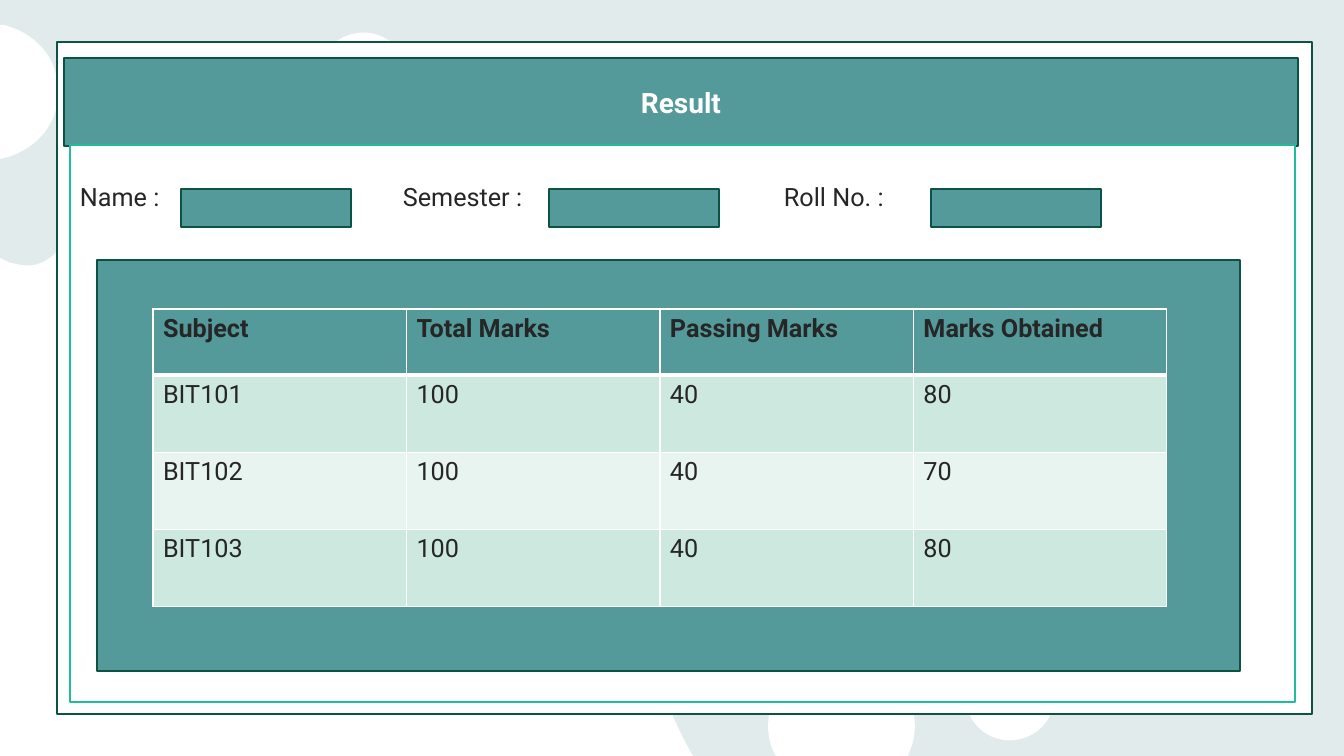
from lxml import etree
from pptx import Presentation
from pptx.dml.color import RGBColor
from pptx.enum.shapes import MSO_SHAPE
from pptx.enum.text import MSO_ANCHOR, PP_ALIGN
from pptx.oxml.ns import qn
from pptx.util import Emu, Pt

RECT = MSO_SHAPE.RECTANGLE
MIDDLE, TOP = MSO_ANCHOR.MIDDLE, MSO_ANCHOR.TOP
LEFT, CENTER = PP_ALIGN.LEFT, PP_ALIGN.CENTER

WHITE = RGBColor(0xFF, 0xFF, 0xFF)
MIST = RGBColor(0xE9, 0xF3, 0xF3)
VEIL = RGBColor(0xAE, 0xAE, 0xAE)
TEAL = RGBColor(0x54, 0x9A, 0x9A)
FOREST = RGBColor(0x0D, 0x53, 0x44)
MINT = RGBColor(0x1E, 0xBE, 0x9B)
INK = RGBColor(0x26, 0x26, 0x26)
BAND_DARK = RGBColor(0xCD, 0xE8, 0xDE)
BAND_LIGHT = RGBColor(0xE8, 0xF4, 0xEF)
FONT = "Roboto"

TITLE = "Result"
FIELDS = [("Name :", 80, 181), ("Semester :", 403, 549), ("Roll No. :", 784, 931)]
MARKS = [
    ("Subject", "Total Marks", "Passing Marks", "Marks Obtained"),
    ("BIT101", "100", "40", "80"),
    ("BIT102", "100", "40", "70"),
    ("BIT103", "100", "40", "80"),
]

SLIDE = (0, 0, 1344, 756)
FRAME = (57, 42, 1255, 672)
HEADER = (64, 58, 1234, 88)
BODY = (70, 145, 1225, 557)
MARKS_PANEL = (97, 260, 1143, 411)
MARKS_GRID = (153, 309, 1014, 298)
HEADING_HEIGHT = 66
FIELD_TOP, FIELD_WIDTH, FIELD_HEIGHT = 189, 170, 38
LABEL_TOP = 181
VEIL_OPACITY = 10

BLOBS = [
    [(0, 25), (4, 25), [(5, 25), (6, 26), (7, 26)], [(22, 30), (35, 39), (44, 50)],
     [(49, 56), (53, 63), (55, 71)], [(67, 107), (47, 145), (8, 157)], (0, 159)],
    [(0, 258), (8, 262), [(19, 265), (29, 267), (38, 264)],
     [(68, 255), (79, 211), (86, 179)], (671, 658),
     [(656, 690), (674, 720), (690, 751)], (693, 756), (0, 756)],
    [(842, 657), [(865, 657), (887, 667), (901, 685)],
     [(907, 692), (909, 698), (911, 705)], [(916, 718), (916, 732), (912, 745)],
     (908, 756), (776, 756), (772, 748), [(759, 712), (780, 672), (819, 661)],
     [(827, 658), (834, 657), (842, 657)]],
    [(1005, 658), [(1020, 657), (1035, 662), (1044, 673)],
     [(1049, 679), (1052, 687), (1053, 695)], [(1056, 717), (1039, 737), (1015, 740)],
     [(992, 743), (970, 727), (967, 705)], [(964, 681), (981, 661), (1005, 658)]],
    [(358, 33), [(373, 31), (388, 37), (397, 48)], [(403, 54), (405, 61), (406, 69)],
     [(409, 91), (392, 112), (368, 115)], [(344, 117), (323, 101), (320, 79)],
     [(317, 56), (334, 36), (358, 33)]],
]


def px(length):
    return Emu(round(length * 914400 / 100.8))


def box(area):
    return [px(length) for length in area]


def paint(shape, fill, line=None):
    shape.shadow.inherit = False
    shape.fill.solid()
    shape.fill.fore_color.rgb = fill
    if line is None:
        shape.line.fill.background()
    else:
        shape.line.color.rgb = line
        shape.line.width = Pt(1)


def add_panel(slide, area, fill, line=None):
    panel = slide.shapes.add_shape(RECT, *box(area))
    paint(panel, fill, line)
    return panel


def write(frame, text, size=18, color=INK, bold=False, align=LEFT, anchor=MIDDLE):
    frame.word_wrap = True
    frame.vertical_anchor = anchor
    paragraph = frame.paragraphs[0]
    paragraph.alignment = align
    run = paragraph.add_run()
    run.text = text
    run.font.name = FONT
    run.font.size = Pt(size)
    run.font.bold = bold
    run.font.color.rgb = color


def add_blobs(slide):
    builder = slide.shapes.build_freeform(*box(BLOBS[0][0]))
    bends = []
    for index, (start, *parts) in enumerate(BLOBS):
        if index:
            builder.move_to(*box(start))
        corners = []
        for part in parts:
            curved = isinstance(part, list)
            bends += [curved] * (3 if curved else 1)
            corners += part if curved else [part]
        builder.add_line_segments([box(corner) for corner in corners], close=True)
    blobs = builder.convert_to_shape()
    paint(blobs, WHITE)
    segments = list(blobs._element.iter(qn("a:lnTo")))
    curved = [segment for segment, bend in zip(segments, bends) if bend]
    for first, second, third in zip(curved[::3], curved[1::3], curved[2::3]):
        curve = etree.Element(qn("a:cubicBezTo"))
        first.addprevious(curve)
        for segment in (first, second, third):
            curve.append(segment[0])
            segment.getparent().remove(segment)


def add_veil(slide):
    veil = add_panel(slide, SLIDE, VEIL)
    color = veil._element.spPr.find(qn("a:solidFill"))[0]
    etree.SubElement(color, qn("a:alpha"), val=str(VEIL_OPACITY * 1000))


def place_header(slide, frame):
    header = slide.shapes.title
    header.left, header.top, header.width, header.height = box(HEADER)
    outline = etree.SubElement(header._element.spPr, qn("a:prstGeom"), prst="roundRect")
    etree.SubElement(outline, qn("a:avLst"))
    paint(header, TEAL, FOREST)
    write(header.text_frame, TITLE, size=20, color=WHITE, bold=True, align=CENTER)
    frame._element.addnext(header._element)


def add_fields(slide):
    body = add_panel(slide, BODY, WHITE, MINT)
    text_left = FIELDS[0][1]
    labels = body.text_frame
    labels.margin_left = px(text_left - BODY[0])
    labels.margin_top = px(LABEL_TOP - BODY[1])
    write(labels, "\t".join(label for label, _, _ in FIELDS), anchor=TOP)
    stops = etree.SubElement(labels.paragraphs[0]._p.get_or_add_pPr(), qn("a:tabLst"))
    for _, label_left, _ in FIELDS[1:]:
        etree.SubElement(stops, qn("a:tab"), pos=str(px(label_left - text_left)), algn="l")
    for _, _, field_left in FIELDS:
        add_panel(slide, (field_left, FIELD_TOP, FIELD_WIDTH, FIELD_HEIGHT), TEAL, FOREST)


def set_borders(cell, bottom):
    properties = cell._tc.get_or_add_tcPr()
    widths = {"a:lnL": 1, "a:lnR": 1, "a:lnT": 1, "a:lnB": bottom}
    for index, (side, width) in enumerate(widths.items()):
        border = etree.Element(qn(side), w=str(Pt(width)))
        solid = etree.SubElement(border, qn("a:solidFill"))
        etree.SubElement(solid, qn("a:srgbClr"), val=str(WHITE))
        properties.insert(index, border)


def add_marks(slide):
    columns = len(MARKS[0])
    marks = slide.shapes.add_table(len(MARKS), columns, *box(MARKS_GRID)).table
    width, height = MARKS_GRID[2:]
    row_height = (height - HEADING_HEIGHT) / (len(MARKS) - 1)
    for column in marks.columns:
        column.width = px(width / columns)
    for r, values in enumerate(MARKS):
        heading = r == 0
        marks.rows[r].height = px(HEADING_HEIGHT if heading else row_height)
        fill = TEAL if heading else (BAND_LIGHT, BAND_DARK)[r % 2]
        for c, value in enumerate(values):
            cell = marks.cell(r, c)
            cell.fill.solid()
            cell.fill.fore_color.rgb = fill
            write(cell.text_frame, value, bold=heading)
            cell.vertical_anchor = TOP
            set_borders(cell, 3 if heading else 1)


def main():
    deck = Presentation()
    deck.slide_width, deck.slide_height = box(SLIDE[2:])
    slide = deck.slides.add_slide(deck.slide_layouts[5])
    slide.background.fill.solid()
    slide.background.fill.fore_color.rgb = MIST

    add_veil(slide)
    add_blobs(slide)
    frame = add_panel(slide, FRAME, WHITE, FOREST)
    place_header(slide, frame)
    add_fields(slide)
    add_panel(slide, MARKS_PANEL, TEAL, FOREST)
    add_marks(slide)
    deck.save("out.pptx")


if __name__ == "__main__":
    main()
